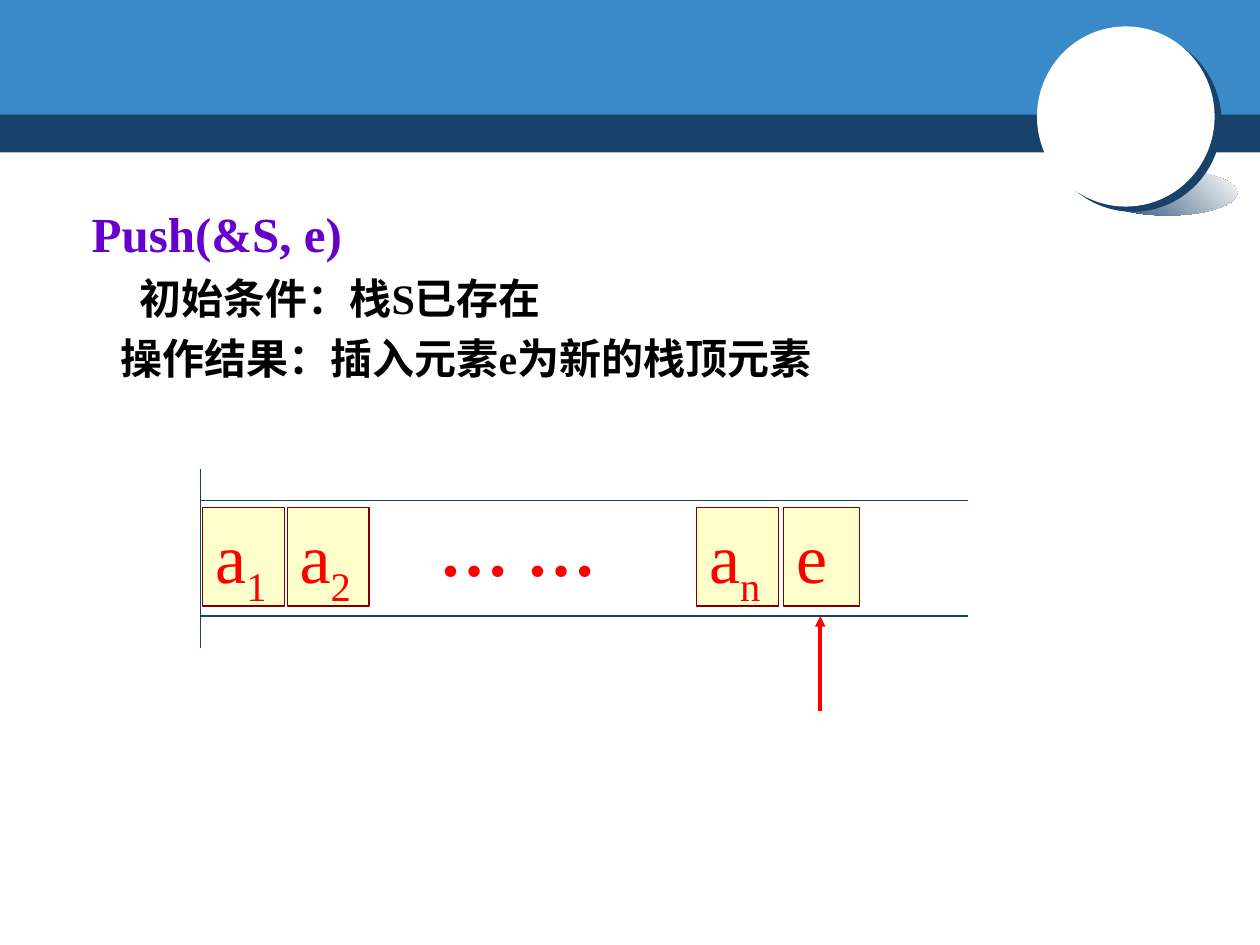
import lxml.etree
import pptx
import pptx.dml.color
import pptx.enum.dml
import pptx.enum.shapes
import pptx.enum.text
import pptx.oxml.ns
import pptx.util

RGBColor = pptx.dml.color.RGBColor
NAVY = RGBColor(0x19, 0x42, 0x6B)
BLUE = RGBColor(0x39, 0x8A, 0xC7)
WHITE = RGBColor(0xFF, 0xFF, 0xFF)
BLACK = RGBColor(0x00, 0x00, 0x00)
PURPLE = RGBColor(0x66, 0x00, 0xCC)
RED = RGBColor(0xFF, 0x00, 0x00)
MAROON = RGBColor(0x80, 0x00, 0x00)
CREAM = RGBColor(0xFF, 0xFF, 0xCC)

RECTANGLE = pptx.enum.shapes.MSO_SHAPE.RECTANGLE
ELLIPSE = pptx.enum.shapes.MSO_SHAPE.OVAL
COLUMNS, ROWS = 100, 75


def add_xml(parent, tag, **attributes):
    return lxml.etree.SubElement(parent, pptx.oxml.ns.qn(tag), attributes)


class SlideBuilder:
    """Draws on one slide, measuring in columns and rows of its grid."""

    font_name = "Times New Roman"

    def __init__(self, presentation):
        self.slide = presentation.slides.add_slide(presentation.slide_layouts[6])
        self.column = presentation.slide_width / COLUMNS
        self.row = presentation.slide_height / ROWS

    def place(self, x, y):
        return round(x * self.column), round(y * self.row)

    def shape(self, kind, left, top, width, height, fill, line=None):
        shape = self.slide.shapes.add_shape(
            kind, *self.place(left, top), *self.place(width, height))
        shape.shadow.inherit = False
        shape.fill.solid()
        shape.fill.fore_color.rgb = fill
        if line is None:
            shape.line.fill.background()
        else:
            shape.line.color.rgb = line
            shape.line.width = pptx.util.Pt(0.75)
        return shape

    def fade(self, shape, start, end, angle):
        shape.fill.gradient()
        shape.fill.gradient_angle = angle
        for stop, color in zip(shape.fill.gradient_stops, (start, end)):
            stop.color.rgb = color

    def cast_shadow(self, shape, color, distance, degrees):
        effects = shape._element.spPr.find(pptx.oxml.ns.qn("a:effectLst"))
        shadow = add_xml(effects, "a:outerShdw", blurRad="0",
                         dist=str(pptx.util.Pt(distance)),
                         dir=str(degrees * 60000), algn="ctr", rotWithShape="0")
        add_xml(shadow, "a:srgbClr", val=str(color))

    def line(self, x1, y1, x2, y2, color=NAVY, width=0.75, arrow=False):
        connector = self.slide.shapes.add_connector(
            pptx.enum.shapes.MSO_CONNECTOR.STRAIGHT,
            *self.place(x1, y1), *self.place(x2, y2))
        connector.line.color.rgb = color
        connector.line.width = pptx.util.Pt(width)
        if arrow:
            add_xml(connector.line._get_or_add_ln(), "a:tailEnd", type="triangle")
        add_xml(connector._element.spPr, "a:effectLst")

    def text_box(self, left, top, width, height, wrap=True):
        box = self.slide.shapes.add_textbox(
            *self.place(left, top), *self.place(width, height))
        box.text_frame.word_wrap = wrap
        return box.text_frame

    def style(self, run, size, color, bold=False):
        run.font.name = self.font_name
        run.font.size = pptx.util.Pt(size)
        run.font.color.rgb = color
        run.font.bold = bold

    def paragraph(self, paragraph, text, size, color, indent):
        paragraph.text = text
        paragraph.line_spacing = 1.2
        paragraph._p.get_or_add_pPr().set("marL", str(round(indent * self.column)))
        self.style(paragraph.runs[0], size, color, bold=True)

    def stack_cell(self, left, width, letter, subscript=""):
        cell = self.shape(RECTANGLE, left, 40.3, width, 7.8, CREAM, MAROON)
        frame = cell.text_frame
        frame.word_wrap = False
        frame.vertical_anchor = pptx.enum.text.MSO_ANCHOR.TOP
        paragraph = frame.paragraphs[0]
        paragraph.alignment = pptx.enum.text.PP_ALIGN.LEFT
        paragraph.text = letter
        if subscript:
            run = paragraph.add_run()
            run.text = subscript
            run.font._element.set("baseline", "-25000")
        for run in paragraph.runs:
            self.style(run, 40, RED)


def draw_header(builder):
    builder.shape(RECTANGLE, 0, 8.7, COLUMNS, 3.4, NAVY)
    builder.shape(RECTANGLE, 0, 0, COLUMNS, 9.1, BLUE)
    floor_shade = builder.shape(ELLIPSE, 87.1, 13.5, 11.1, 3.6, NAVY)
    builder.fade(floor_shade, NAVY, WHITE, 45)
    ball = builder.shape(ELLIPSE, 82.3, 2.1, 14.1, 14.3, WHITE)
    builder.cast_shadow(ball, NAVY, 5, 37)
    builder.shape(ELLIPSE, 87, 7.1, 5, 4.9, WHITE)


def draw_description(builder):
    frame = builder.text_box(6.3, 14.7, 87, 17)
    lines = [
        ("Push(&S, e)", 28, PURPLE, 0),
        ("初始条件：栈S已存在", 24, BLACK, 3.8),
        ("操作结果：插入元素e为新的栈顶元素", 24, BLACK, 2.3),
    ]
    for number, line in enumerate(lines):
        paragraph = frame.add_paragraph() if number else frame.paragraphs[0]
        builder.paragraph(paragraph, *line)


def draw_stack(builder):
    builder.line(15.9, 37.2, 15.9, 51.4)
    for y in (39.7, 48.9):
        builder.line(15.9, y, 76.8, y)
    for left, subscript in ((16.1, "1"), (22.8, "2"), (55.3, "n")):
        builder.stack_cell(left, 6.5, "a", subscript)
    builder.line(65.1, 56.4, 65.1, 48.9, RED, 2, arrow=True)
    builder.stack_cell(62.2, 6, "e")
    frame = builder.text_box(33.9, 39.7, 14.5, 7.7, wrap=False)
    frame.text = "… …"
    builder.style(frame.paragraphs[0].runs[0], 40, RED, bold=True)


def main():
    presentation = pptx.Presentation()
    presentation.slide_width = pptx.util.Inches(10)
    presentation.slide_height = pptx.util.Inches(7.5)
    builder = SlideBuilder(presentation)
    draw_header(builder)
    draw_description(builder)
    draw_stack(builder)
    presentation.save("out.pptx")


if __name__ == "__main__":
    main()
